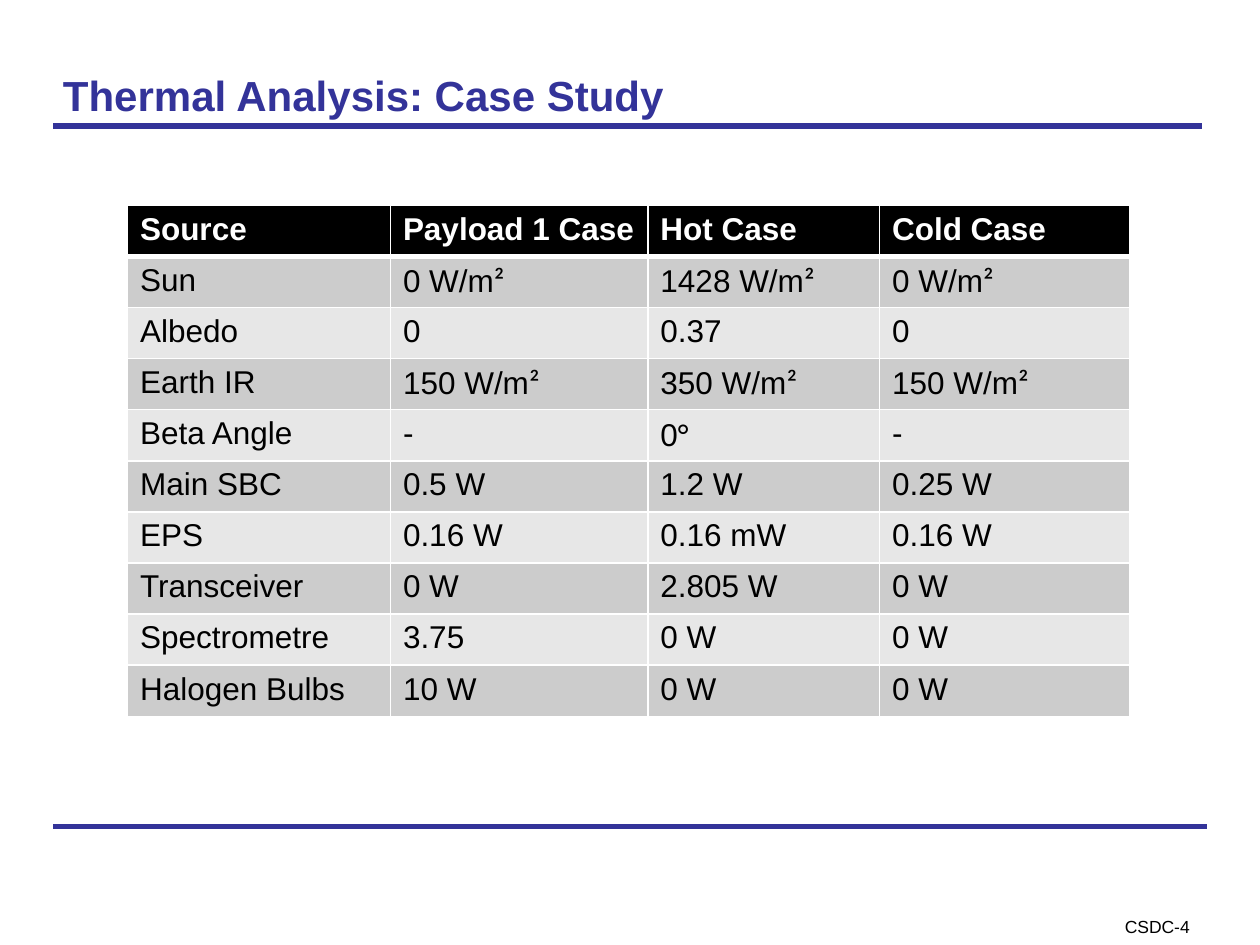
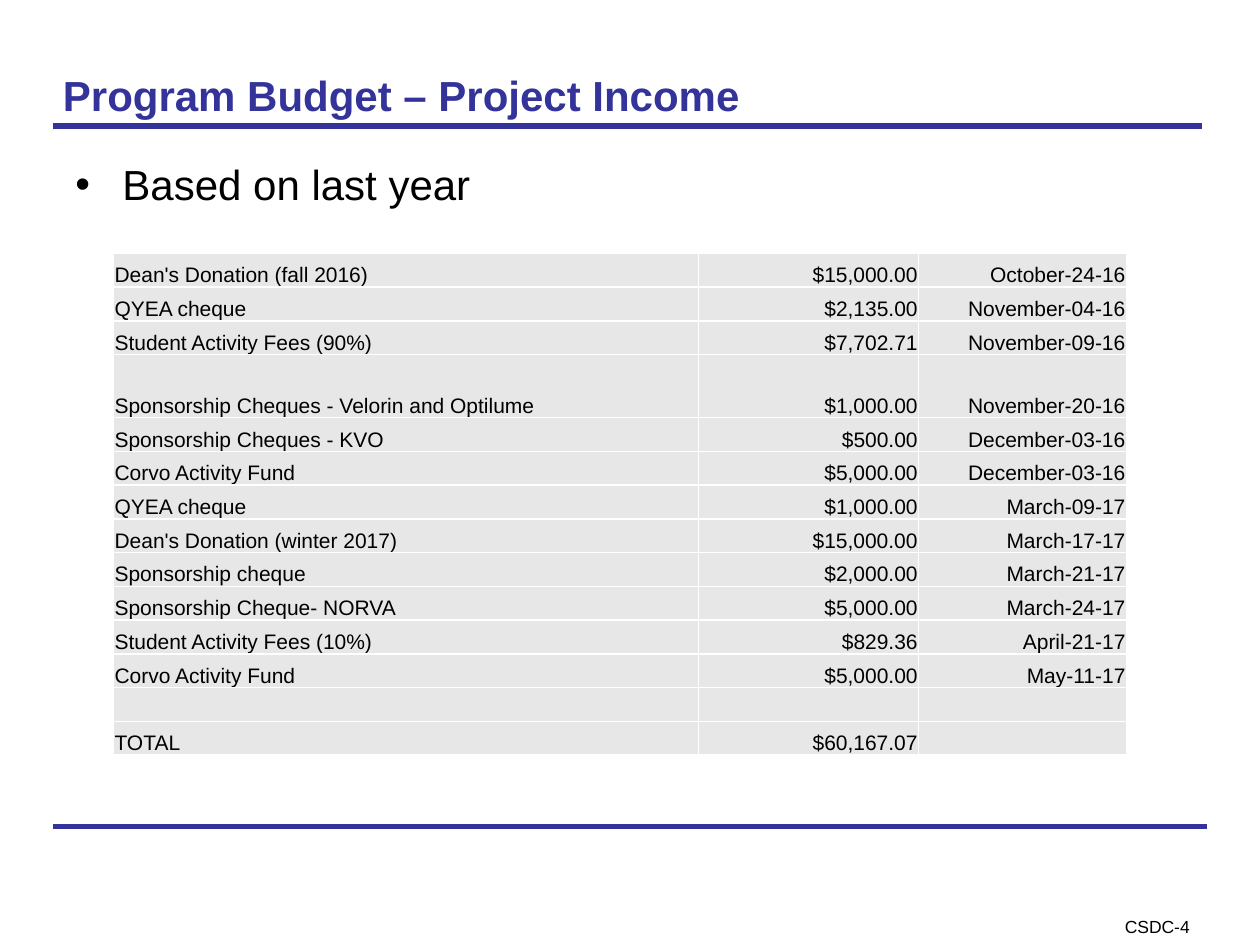
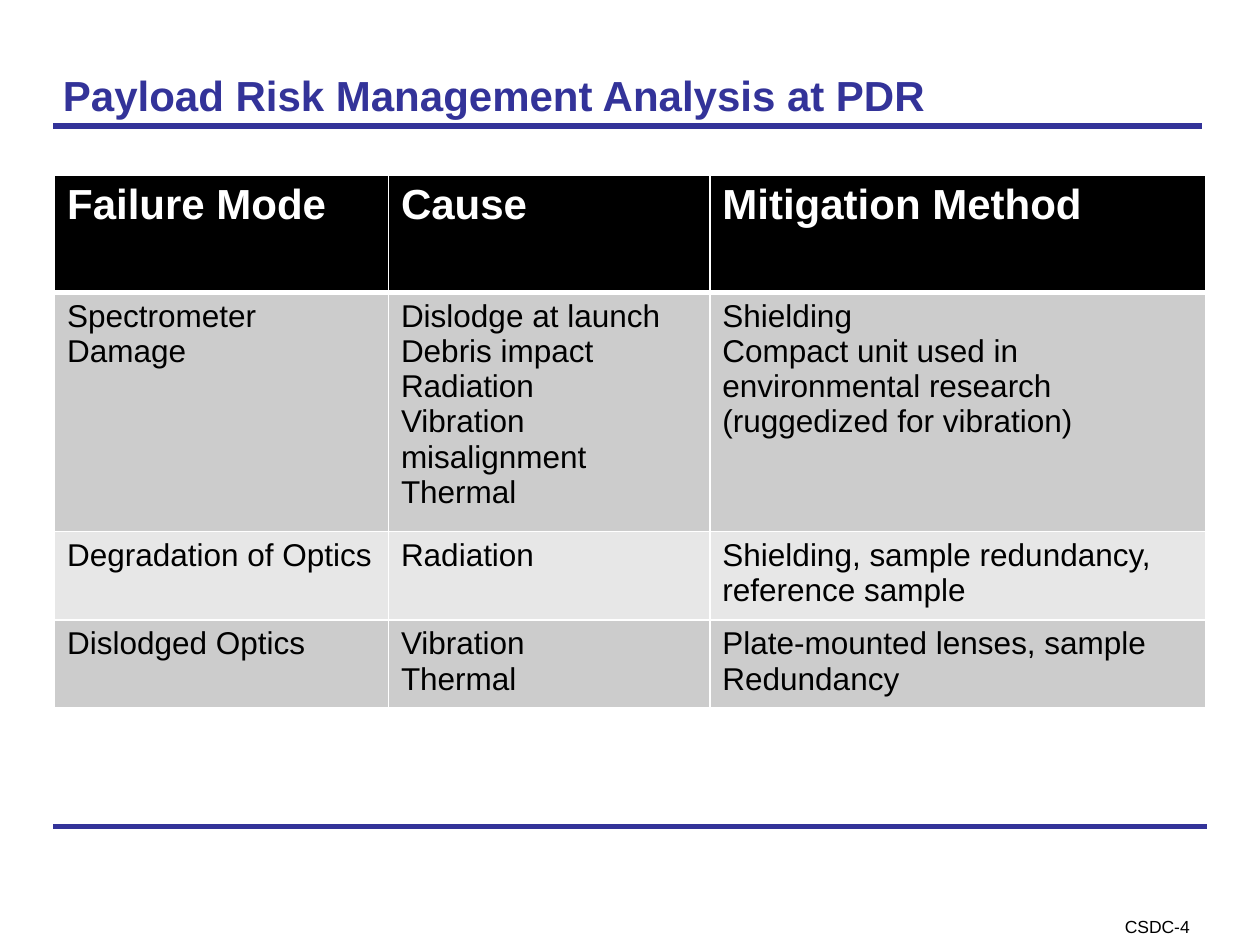
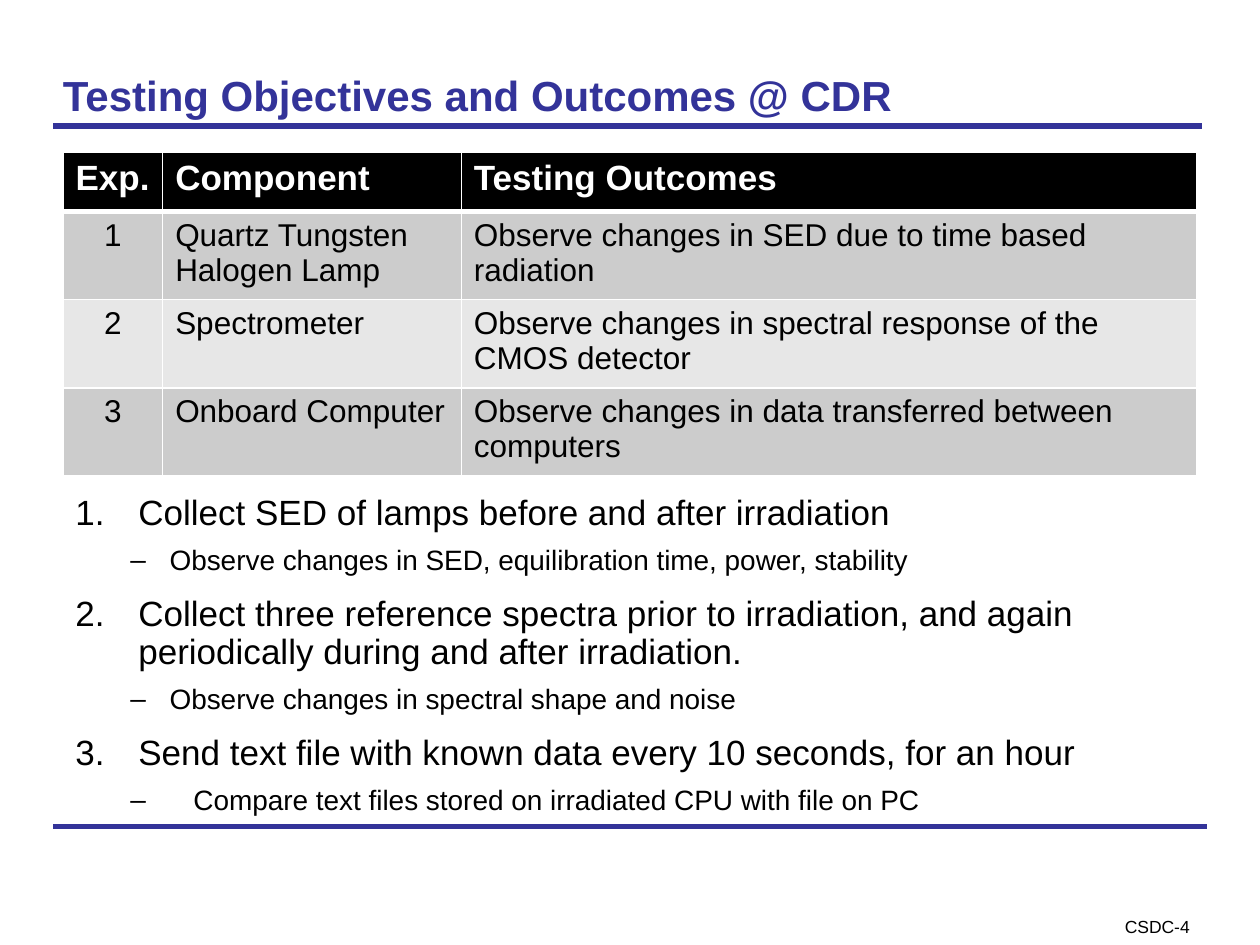
from itertools import groupby

from lxml import etree
from pptx import Presentation
from pptx.dml.color import RGBColor
from pptx.enum.shapes import MSO_CONNECTOR as CONN
from pptx.enum.text import MSO_ANCHOR as ANCHOR, PP_ALIGN as ALIGN
from pptx.oxml.ns import qn
from pptx.util import Cm, Pt

INDIGO = RGBColor(0x33, 0x33, 0x99)
BLACK = RGBColor(0x00, 0x00, 0x00)
WHITE = RGBColor(0xFF, 0xFF, 0xFF)
GREY = RGBColor(0xCC, 0xCC, 0xCC)
PALE = RGBColor(0xE7, 0xE7, 0xE7)

FONT = "Arial"
SYMBOL_FONT = "Calibri"
SYMBOLS = "²°"
ALIGNS = {"l": ALIGN.LEFT, "c": ALIGN.CENTER, "r": ALIGN.RIGHT}
SIDES = ("L", "R", "T", "B")


class Deck:
    """Holds the shared style and the slide being built."""

    def __init__(self):
        self.prs = Presentation()
        self.prs.slide_width, self.prs.slide_height = Cm(25.4), Cm(19.05)
        self.s = None

    def slide(self, title):
        self.s = self.prs.slides.add_slide(self.prs.slide_layouts[6])
        self.rule(16.66, 24.33)
        self.rule(2.54, 24.23)
        tf = self.box(21.97, 18.47, 2.72, 0.36, (0.2, 0, 0.2, 0))
        tf.paragraphs[0].alignment = ALIGN.CENTER
        self.runs(tf.paragraphs[0], "CSDC-4", 10)
        tf = self.box(1.22, 1.12, 22.91, 1.57, (0.05, 0.13, 0.05, 0.13))
        tf.vertical_anchor = ANCHOR.MIDDLE
        self.runs(tf.paragraphs[0], title, 24, INDIGO, True)

    def rule(self, y, right):
        line = self.s.shapes.add_connector(CONN.STRAIGHT, Cm(1.07), Cm(y), Cm(right), Cm(y))
        line.line.color.rgb = INDIGO
        line.line.width = Pt(3)
        etree.SubElement(line._element.spPr, qn("a:effectLst"))

    def box(self, x, y, w, h, insets=(0.25, 0.13, 0.25, 0.13)):
        tf = self.s.shapes.add_textbox(Cm(x), Cm(y), Cm(w), Cm(h)).text_frame
        tf.word_wrap = True
        self.inset(tf, insets)
        return tf

    def inset(self, target, insets):
        target.margin_left, target.margin_top, target.margin_right, target.margin_bottom = map(Cm, insets)

    def runs(self, p, text, size, color=BLACK, bold=False):
        for symbol, chars in groupby(text, lambda c: c in SYMBOLS):
            r = p.add_run()
            r.text = "".join(chars)
            r.font.name = SYMBOL_FONT if symbol else FONT
            r.font.size = Pt(size)
            r.font.bold = bold
            r.font.color.rgb = color

    def bullets(self, x, y, w, h, items):
        """Add (text, size, level, left, hanging, mark) items; the mark "1." numbers them."""
        tf = self.box(x, y, w, h)
        for i, (text, size, level, left, hanging, mark) in enumerate(items):
            p = tf.add_paragraph() if i else tf.paragraphs[0]
            p.level = level
            pPr = p._p.get_or_add_pPr()
            pPr.set("marL", str(Cm(left)))
            pPr.set("indent", str(-Cm(hanging)))
            p.line_spacing = 0.9
            if i:
                p.space_before = Pt(7.4 if level else 11.5)
            etree.SubElement(pPr, qn("a:buFont"), typeface=FONT)
            if mark == "1.":
                etree.SubElement(pPr, qn("a:buAutoNum"), type="arabicPeriod")
            else:
                etree.SubElement(pPr, qn("a:buChar"), char=mark)
            self.runs(p, text, size)

    def borders(self, cell, widths):
        tcPr = cell._tc.get_or_add_tcPr()
        for side, width in zip(SIDES, widths):
            ln = etree.SubElement(tcPr, qn(f"a:ln{side}"), w=str(Pt(width)))
            fill = etree.SubElement(ln, qn("a:solidFill"))
            etree.SubElement(fill, qn("a:srgbClr"), val=str(WHITE))

    def table(self, x, y, cols, heights, rows, aligns, size=18, head_size=None, tight=False):
        """Draw rows of text; a head_size makes the first row a header above banded rows."""
        table = self.s.shapes.add_table(
            len(rows), len(cols), Cm(x), Cm(y), Cm(sum(cols)), Cm(sum(heights))).table
        table.first_row = bool(head_size)
        table.horz_banding = False
        for col, width in zip(table.columns, cols):
            col.width = Cm(width)
        for i, (row, height) in enumerate(zip(rows, heights)):
            table.rows[i].height = Cm(height)
            head = bool(head_size) and i == 0
            top, bottom = (3 if head_size and i == 1 else 1), (3 if head else 1)
            fill = BLACK if head else GREY if head_size and i % 2 else PALE
            for j, text in enumerate(row):
                cell = table.cell(i, j)
                self.borders(cell, (1, 1, top, bottom))
                cell.fill.solid()
                cell.fill.fore_color.rgb = fill
                if tight:
                    self.inset(cell, (0.02, 0.02, 0.02, 0))
                    cell.vertical_anchor = ANCHOR.BOTTOM
                tf = cell.text_frame
                for k, line in enumerate(text.split("\n")):
                    p = tf.add_paragraph() if k else tf.paragraphs[0]
                    p.alignment = ALIGN.LEFT if head else ALIGNS[aligns[j]]
                    if line:
                        self.runs(p, line, head_size if head else size,
                                  WHITE if head else BLACK, head)
                    else:
                        etree.SubElement(p._p, qn("a:endParaRPr"), sz=str(size * 100))


def thermal_cases(deck):
    deck.slide("Thermal Analysis: Case Study")
    rows = [
        ("Source", "Payload 1 Case", "Hot Case", "Cold Case"),
        ("Sun", "0 W/m²", "1428 W/m²", "0 W/m²"),
        ("Albedo", "0", "0.37", "0"),
        ("Earth IR", "150 W/m²", "350 W/m²", "150 W/m²"),
        ("Beta Angle", "-", "0°", "-"),
        ("Main SBC", "0.5 W", "1.2 W", "0.25 W"),
        ("EPS", "0.16 W", "0.16 mW", "0.16 W"),
        ("Transceiver", "0 W", "2.805 W", "0 W"),
        ("Spectrometre", "3.75", "0 W", "0 W"),
        ("Halogen Bulbs", "10 W", "0 W", "0 W"),
    ]
    deck.table(2.57, 4.14, (5.3, 5.19, 4.67, 5.05), [1.03] * len(rows), rows, "llll", head_size=18)


def project_income(deck):
    deck.slide("Program Budget – Project Income")
    deck.bullets(1.27, 3.18, 22.86, 13.31, [("Based on last year", 24, 0, 0.95, 0.95, "•")])
    rows = [
        ("Dean's Donation (fall 2016)", "$15,000.00", "October-24-16"),
        ("QYEA cheque", "$2,135.00", "November-04-16"),
        ("Student Activity Fees (90%)", "$7,702.71", "November-09-16"),
        ("Sponsorship Cheques - Velorin and Optilume", "$1,000.00", "November-20-16"),
        ("Sponsorship Cheques - KVO", "$500.00", "December-03-16"),
        ("Corvo Activity Fund", "$5,000.00", "December-03-16"),
        ("QYEA cheque", "$1,000.00", "March-09-17"),
        ("Dean's Donation (winter 2017)", "$15,000.00", "March-17-17"),
        ("Sponsorship cheque", "$2,000.00", "March-21-17"),
        ("Sponsorship Cheque- NORVA", "$5,000.00", "March-24-17"),
        ("Student Activity Fees (10%)", "$829.36", "April-21-17"),
        ("Corvo Activity Fund", "$5,000.00", "May-11-17"),
        ("", "", ""),
        ("TOTAL", "$60,167.07", ""),
    ]
    heights = [1.27 if "Velorin" in name else 0.68 for name, _, _ in rows]
    deck.table(2.29, 5.11, (11.79, 4.44, 4.19), heights, rows, "lrr", size=12, tight=True)


def payload_risks(deck):
    deck.slide("Payload Risk Management Analysis at PDR")
    rows = [
        ("Failure Mode", "Cause", "Mitigation Method"),
        ("Spectrometer Damage",
         "Dislodge at launch\nDebris impact\nRadiation\nVibration misalignment\nThermal",
         "Shielding\nCompact unit used in environmental research (ruggedized for vibration)"),
        ("Degradation of Optics", "Radiation", "Shielding, sample redundancy, reference sample"),
        ("Dislodged Optics", "Vibration\nThermal", "Plate-mounted lenses, sample Redundancy"),
    ]
    deck.table(1.1, 3.53, (6.73, 6.48, 9.99), (2.36, 4.75, 1.76, 1.76), rows, "lll", head_size=24)


def testing_outcomes(deck):
    deck.slide("Testing Objectives and Outcomes @ CDR")
    step = (20, 0, 1.27, 1.27, "1.")
    detail = (16, 1, 1.9, 0.79, "–")
    wide_detail = (16, 1, 2.38, 1.27, "–")
    deck.bullets(1.27, 9.86, 22.86, 6.32, [
        ("Collect SED of lamps before and after irradiation", *step),
        ("Observe changes in SED, equilibration time, power, stability", *detail),
        ("Collect three reference spectra prior to irradiation, and again "
         "periodically during and after irradiation.", *step),
        ("Observe changes in spectral shape and noise", *detail),
        ("Send text file with known data every 10 seconds, for an hour", *step),
        ("Compare text files stored on irradiated CPU with file on PC", *wide_detail),
    ])
    rows = [
        ("Exp.", "Component", "Testing Outcomes"),
        ("1", "Quartz Tungsten Halogen Lamp", "Observe changes in SED due to time based radiation"),
        ("2", "Spectrometer", "Observe changes in spectral response of the CMOS detector"),
        ("3", "Onboard Computer", "Observe changes in data transferred between computers"),
    ]
    deck.table(1.27, 3.07, (2.01, 6.02, 14.83), (1.19, 1.67, 1.67, 1.67), rows, "cll", head_size=20)


def main():
    deck = Deck()
    for build in (thermal_cases, project_income, payload_risks, testing_outcomes):
        build(deck)
    deck.prs.save("out.pptx")


if __name__ == "__main__":
    main()
